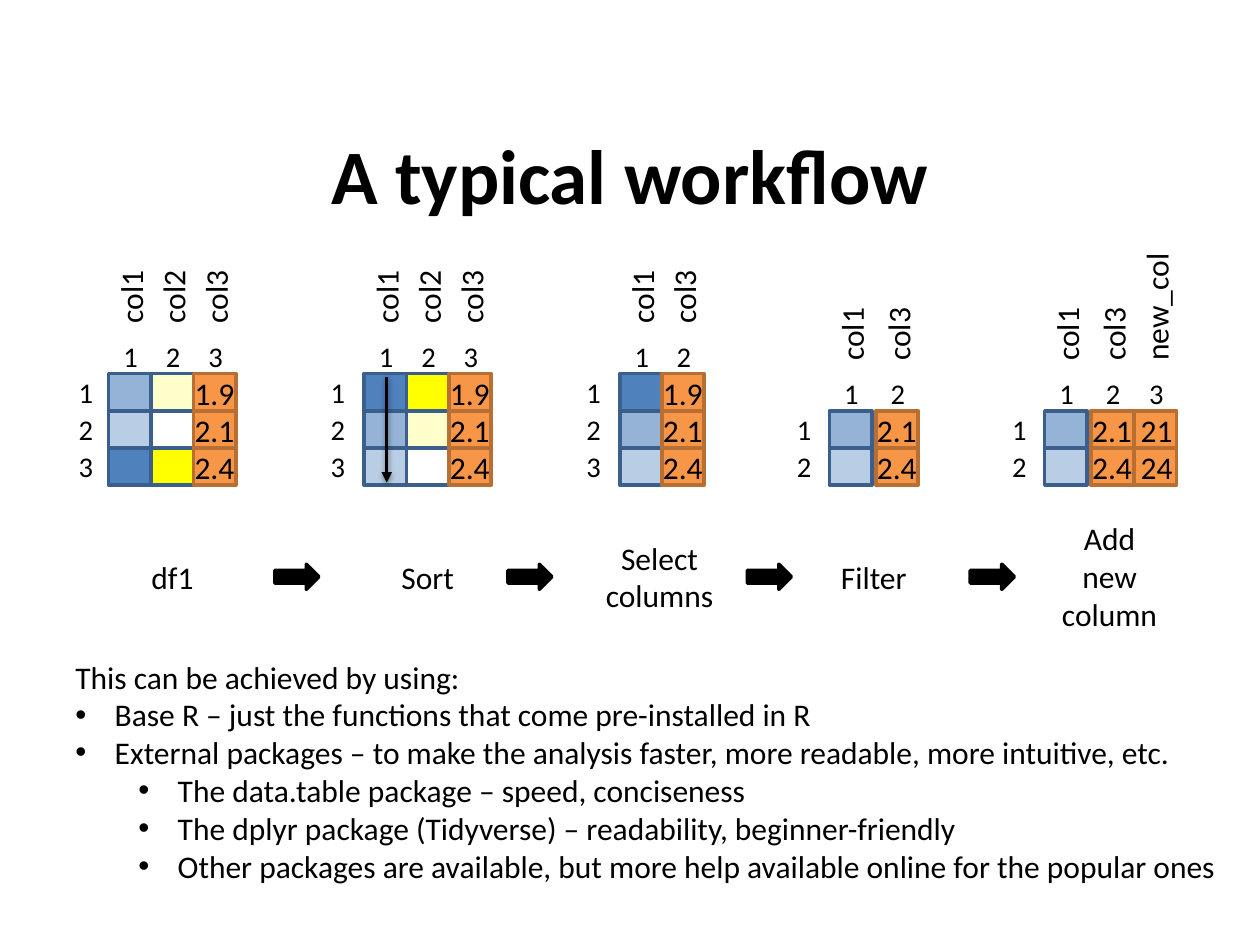
"""Build a slide that shows a table workflow in five steps."""
import pptx
import pptx.util
import pptx.dml.color
import pptx.enum.shapes
import pptx.enum.text
import pptx.oxml
import pptx.oxml.ns

Pt = pptx.util.Pt
KIND = pptx.enum.shapes.MSO_SHAPE
ALIGN = pptx.enum.text.PP_ALIGN
ANCHOR = pptx.enum.text.MSO_ANCHOR
NS = pptx.oxml.ns.nsdecls("a")

BLACK, DEEP, MID, PALE = "000000", "4F81BD", "95B3D7", "B9CDE5"
GOLD, CREAM, WHITE, ORANGE = "FFFF00", "FFFFCC", "FFFFFF", "F79646"
BLUE_EDGE, BROWN_EDGE = "3A5F8C", "B76F34"
CELL_W, CELL_H, BASE = 24.2, 21.25, 277.25

BODY = {"name": "Calibri", "size": Pt(18), "bold": False}
INDEX = {**BODY, "size": Pt(16.3)}
TITLE = {**BODY, "size": Pt(44), "bold": True}

THIRD = ("col3", ["1.9", "2.1", "2.4"])
FRAMES = [
    (13, [62.1, 86.3, 110.6],
     [("col1", [MID, PALE, DEEP]), ("col2", [CREAM, WHITE, GOLD]), THIRD]),
    (15, [208.1, 232.3, 256.5],
     [("col1", [DEEP, MID, PALE]), ("col2", [GOLD, CREAM, WHITE]), THIRD]),
    (15, [354.2, 378.2], [("col1", [DEEP, MID, PALE]), THIRD]),
    (14.5, [474, 500.5], [("col1", [MID, PALE]), ("col3", ["2.1", "2.4"])]),
    (14.5, [597, 623.5, 648.2],
     [("col1", [MID, PALE]), ("col3", ["2.1", "2.4"]), ("new_col", ["21", "24"])]),
]
STEPS = [
    ("df1", 98.6, 39, 29),
    ("Sort", 244.4, 49.7, 29),
    ("Select columns", 376.9, 81.4, 51),
    ("Filter", 499.3, 75.6, 29),
    ("Add new column", 634, 75.6, 73),
]
ARROWS = [157, 290.2, 427, 554.4]
NOTES = [
    (None, "This can be achieved by using:"),
    (0, "Base R – just the functions that come pre-installed in R"),
    (0, "External packages – to make the analysis faster, more readable, more intuitive, etc."),
    (1, "The data.table package – speed, conciseness"),
    (1, "The dplyr package (Tidyverse) – readability, beginner-friendly"),
    (1, "Other packages are available, but more help available online for the popular ones"),
]


def tint(code):
    """Turn a hex string into a colour."""
    return pptx.dml.color.RGBColor.from_string(code)


def put(item, form):
    """Set each named value on an item."""
    for key, value in form.items():
        setattr(item, key, value)


def style(para, text, font, align):
    """Write one formatted run in a paragraph."""
    para.alignment = align
    run = para.add_run()
    run.text = text
    put(run.font, font)
    run.font.color.rgb = tint(BLACK)


def label(slide, text, box, font=BODY, align=ALIGN.CENTER, wrap=False, turn=0):
    """Add a text box and return it."""
    shape = slide.shapes.add_textbox(*map(Pt, box))
    shape.rotation = turn
    put(shape.text_frame, {"word_wrap": wrap, "vertical_anchor": ANCHOR.TOP})
    style(shape.text_frame.paragraphs[0], text, font, align)
    return shape


def block(slide, kind, box, fill, edge):
    """Add a filled shape with an edge."""
    shape = slide.shapes.add_shape(kind, *map(Pt, box))
    shape.shadow.inherit = False
    shape.fill.solid()
    shape.fill.fore_color.rgb = tint(fill)
    shape.line.color.rgb = tint(edge)
    shape.line.width = Pt(2)


def frame(slide, gap, lefts, cols):
    """Draw a small data frame with its names and numbers."""
    count = len(cols[0][1])
    top = BASE - count * CELL_H
    for num, (left, (name, cells)) in enumerate(zip(lefts, cols), 1):
        mid = left + CELL_W / 2 + 0.5
        label(slide, str(num), (mid - 12.5, top - 23.6, 25, 27), INDEX)
        span = 78.5 if name == "new_col" else 45.4
        label(slide, name, (mid - span / 2, top - 21.5 - span / 2 - 14.5, span, 29),
              align=ALIGN.LEFT, turn=270)
        for row, cell in enumerate(cells):
            high = top + row * CELL_H
            value = cell[:2].isdigit() and len(cell) < 3 or "." in cell
            fill, edge = (ORANGE, BROWN_EDGE) if value else (cell, BLUE_EDGE)
            block(slide, KIND.RECTANGLE, (left, high, CELL_W, CELL_H), fill, edge)
            if value:
                shift = 6.5 if "." in cell else 3.5
                label(slide, cell, (left - shift, high - 3.4, 39, 29), align=ALIGN.LEFT)
    for row in range(count):
        label(slide, str(row + 1),
              (lefts[0] - gap - 12.2, top + row * CELL_H - 3, 24.5, 27), INDEX)


def pointer(slide, x, start, end):
    """Draw a soft-shadowed line with an arrowhead."""
    line = slide.shapes.add_connector(
        pptx.enum.shapes.MSO_CONNECTOR.STRAIGHT, *map(Pt, (x, start, x, end)))
    line.line.color.rgb = tint(BLACK)
    line.line.width = Pt(2)
    line.line._get_or_add_ln().append(
        pptx.oxml.parse_xml(f'<a:tailEnd {NS} type="triangle"/>'))
    line._element.spPr.append(pptx.oxml.parse_xml(
        f'<a:effectLst {NS}><a:outerShdw blurRad="{Pt(3.1)}" dist="{Pt(1.6)}" '
        'dir="5400000" rotWithShape="0"><a:srgbClr val="000000">'
        '<a:alpha val="38000"/></a:srgbClr></a:outerShdw></a:effectLst>'))


def notes(slide, lines, box):
    """Add the text with its two bullet levels."""
    shape = label(slide, lines[0][1], box, align=ALIGN.LEFT, wrap=True)
    for level, text in lines[1:]:
        para = shape.text_frame.add_paragraph()
        para.level = level
        style(para, text, BODY, ALIGN.LEFT)
        props = para._p.get_or_add_pPr()
        props.set("marL", str(Pt(22.5 + 36 * level)))
        props.set("indent", str(Pt(-22.5)))
        props.append(pptx.oxml.parse_xml(f'<a:buFont {NS} typeface="Arial"/>'))
        props.append(pptx.oxml.parse_xml(f'<a:buChar {NS} char="•"/>'))


def main():
    """Build and save the slide."""
    deck = pptx.Presentation()
    put(deck, {"slide_width": Pt(720), "slide_height": Pt(540)})
    slide = deck.slides.add_slide(deck.slide_layouts[6])
    head = label(slide, "A typical workflow", (36, 54, 648, 90), TITLE, wrap=True)
    put(head.text_frame, {"vertical_anchor": ANCHOR.MIDDLE, "margin_left": 0,
                          "margin_right": 0, "margin_top": 0, "margin_bottom": 0})
    for gap, lefts, cols in FRAMES:
        frame(slide, gap, lefts, cols)
    pointer(slide, 221, 215.3, 275.8)
    for text, mid, wide, high in STEPS:
        label(slide, text, (mid - wide / 2, 329.7 - high / 2, wide, high),
              wrap=" " in text)
    for left in ARROWS:
        block(slide, KIND.RIGHT_ARROW, (left, 322.4, 25.2, 14.4), BLACK, BLACK)
    notes(slide, NOTES, (36, 372.2, 671.8, 138.2))
    deck.save("out.pptx")


main()
